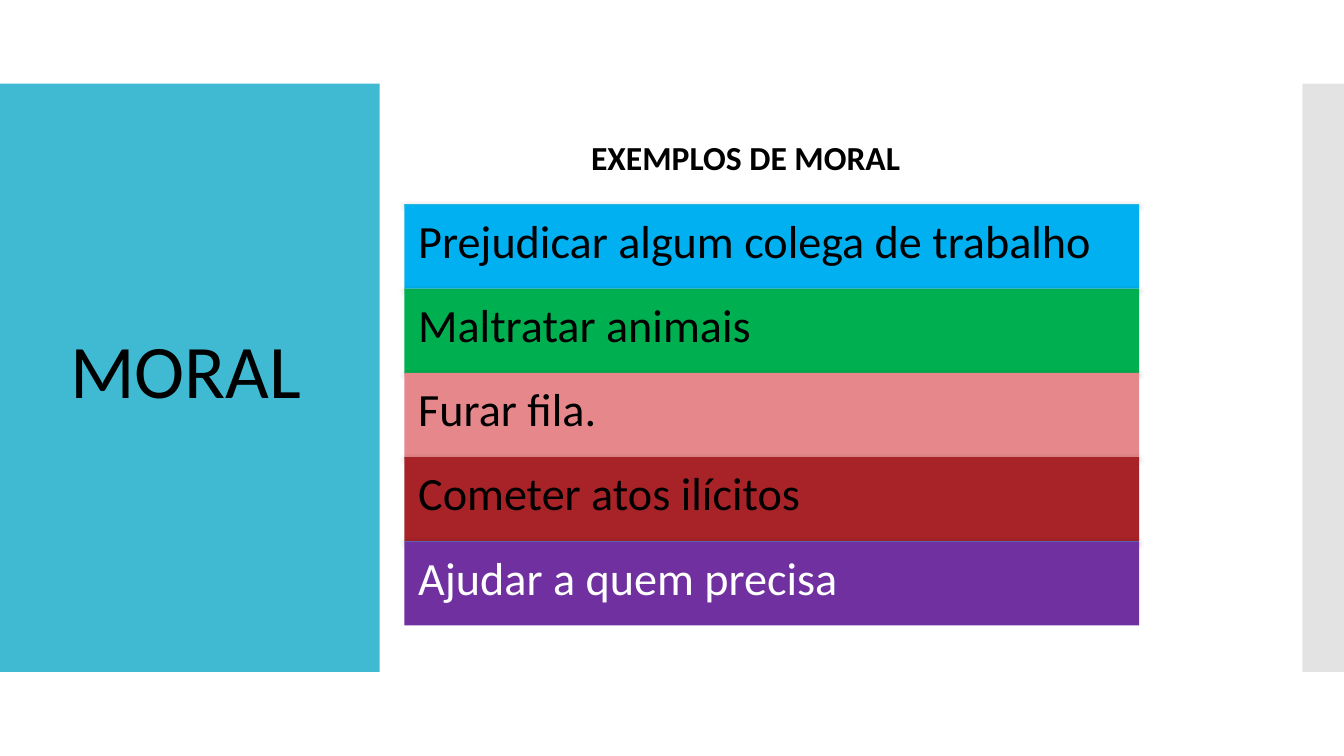
"""Build the MORAL slide with its coloured list of examples."""
import pptx
import pptx.dml.color
import pptx.enum.shapes
import pptx.enum.text
import pptx.oxml
import pptx.oxml.ns
import pptx.util
from pptx.util import Cm

COLORS = {
    "teal": "40BAD2", "grey": "C8C8C8", "blue": "00B0F0", "green": "00B050",
    "pink": "E6888B", "red": "A72327", "purple": "7030A0",
    "black": "000000", "white": "FFFFFF",
}
EXAMPLES = [
    ("Prejudicar algum colega de trabalho", "blue", "black"),
    ("Maltratar animais", "green", "black"),
    ("Furar fila.", "pink", "black"),
    ("Cometer atos ilícitos", "red", "black"),
    ("Ajudar a quem precisa", "purple", "white"),
]
LIST_LEFT, LIST_TOP, BAR_WIDTH, BAR_HEIGHT = 10.19, 5.16, 18.52, 2.12
SHADOW = (
    f'<a:effectLst {pptx.oxml.ns.nsdecls("a")}>'
    '<a:outerShdw blurRad="44450" dist="13970" dir="5400000" rotWithShape="0">'
    '<a:srgbClr val="000000"><a:alpha val="45000"/></a:srgbClr>'
    '</a:outerShdw></a:effectLst>'
)


def rgb(name):
    return pptx.dml.color.RGBColor.from_string(COLORS[name])


def add_rect(s, left, top, width, height, color, alpha=None):
    sp = s.shapes.add_shape(pptx.enum.shapes.MSO_SHAPE.RECTANGLE,
                            Cm(left), Cm(top), Cm(width), Cm(height))
    sp.shadow.inherit = False
    sp.fill.solid()
    sp.fill.fore_color.rgb = rgb(color)
    sp.line.fill.background()
    if alpha is not None:
        clr = sp.fill._xPr.find(".//" + pptx.oxml.ns.qn("a:srgbClr"))
        clr.append(pptx.oxml.parse_xml(
            f'<a:alpha {pptx.oxml.ns.nsdecls("a")} val="{alpha * 1000}"/>'))
    return sp


def write(sp, text, size, color="black", bold=False, align="LEFT"):
    tf = sp.text_frame
    tf.word_wrap = True
    tf.vertical_anchor = pptx.enum.text.MSO_ANCHOR.TOP
    p = tf.paragraphs[0]
    p.alignment = pptx.enum.text.PP_ALIGN[align]
    r = p.add_run()
    r.text = text
    r.font.name = "Calibri"
    r.font.size = pptx.util.Pt(size)
    r.font.bold = bold
    r.font.color.rgb = rgb(color)
    return tf


def add_text(s, left, top, width, height, text, size, **style):
    sp = s.shapes.add_textbox(Cm(left), Cm(top), Cm(width), Cm(height))
    tf = write(sp, text, size, **style)
    tf.auto_size = pptx.enum.text.MSO_AUTO_SIZE.SHAPE_TO_FIT_TEXT


def add_rule(s, left, top, width):
    line = s.shapes.add_connector(pptx.enum.shapes.MSO_CONNECTOR.STRAIGHT,
                                  Cm(left), Cm(top), Cm(left + width), Cm(top))
    line.line.color.rgb = rgb("teal")
    line.line.width = pptx.util.Pt(0.75)
    line._element.spPr.append(pptx.oxml.parse_xml(SHADOW))


def add_example(s, top, text, fill, color):
    add_rule(s, LIST_LEFT, top, BAR_WIDTH)
    sp = add_rect(s, LIST_LEFT, top, BAR_WIDTH, BAR_HEIGHT, fill)
    tf = write(sp, text, 33, color)
    tf.margin_left = tf.margin_right = tf.margin_top = tf.margin_bottom = Cm(0.35)
    tf.paragraphs[0].line_spacing = 0.9


def main():
    prs = pptx.Presentation()
    prs.slide_width, prs.slide_height = Cm(33.87), Cm(19.05)
    s = prs.slides.add_slide(prs.slide_layouts[6])
    add_rect(s, 0, 2.11, 9.57, 14.82, "teal")
    add_rect(s, 32.82, 2.11, 1.05, 14.82, "grey", alpha=50)
    for i, (text, fill, color) in enumerate(EXAMPLES):
        add_example(s, LIST_TOP + i * BAR_HEIGHT, text, fill, color)
    add_text(s, 10.19, 3.33, 17.2, 1.27, "EXEMPLOS DE MORAL", 24,
             bold=True, align="CENTER")
    add_text(s, 1.52, 8, 7.29, 2.57, "MORAL", 54)
    prs.save("out.pptx")


if __name__ == "__main__":
    main()
